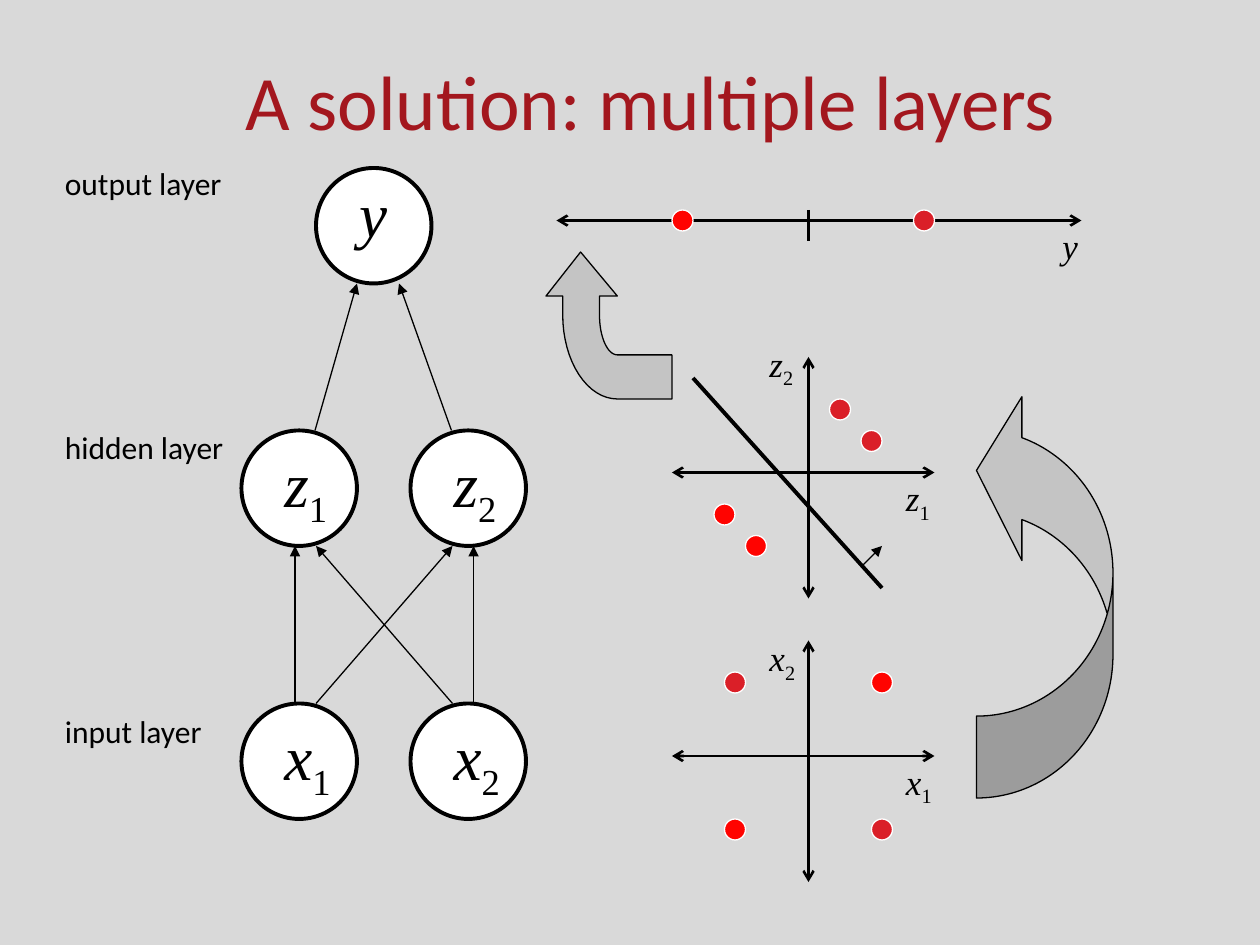
from dataclasses import dataclass
from math import cos, pi, sin

from lxml import etree
from pptx import Presentation
from pptx.dml.color import RGBColor
from pptx.enum import shapes, text
from pptx.oxml import ns
from pptx.util import Inches, Pt

BLACK = RGBColor(0, 0, 0)
WHITE = RGBColor(255, 255, 255)
BACK = RGBColor(0xD9, 0xD9, 0xD9)
TITLE = RGBColor(0xA3, 0x17, 0x1E)
GREY = RGBColor(0xC4, 0xC4, 0xC4)
RED = RGBColor(0xFF, 0x03, 0x00)
DARK = RGBColor(0xDA, 0x1F, 0x28)
SERIF, SANS = "Times New Roman", "Calibri"

COLS, ROWS = 120, 90  # grid of the slide
NODE, DOT = 11, 2  # diameters in grid cells

deck = Presentation()
deck.slide_width, deck.slide_height = Inches(10), Inches(7.5)
slide = deck.slides.add_slide(deck.slide_layouts[5])
slide.background.fill.solid()
slide.background.fill.fore_color.rgb = BACK


@dataclass
class Node:
    name: str
    sub: str
    col: float
    row: float
    drop: float = 0.7  # label below the node's top


@dataclass
class Plot:
    name: str
    row: float  # row of the horizontal axis
    lift: float  # top of the upper label, above that axis
    dots: list  # (column, row, colour) of each centre


def across(col: float) -> int:
    return round(deck.slide_width * col / COLS)


def down(row: float) -> int:
    return round(deck.slide_height * row / ROWS)


def box(col: float, row: float, wide: float, high: float) -> tuple:
    return across(col), down(row), across(wide), down(high)


def write(frame, words: str, *, sub: str = "", size: float = 20, font: str = SERIF,
          color: RGBColor = BLACK, italic: bool = False, align=None) -> None:
    para = frame.paragraphs[0]
    para.alignment = align
    for part, low in ((words, False), (sub, True)):
        if part:
            run = para.add_run()
            run.text = part
            run.font.size, run.font.name = Pt(size), font
            run.font.italic = italic and not low
            run.font.color.rgb = color
            if low:
                run.font._element.set("baseline", "-25000")


def label(place: tuple, words: str, wrap: bool = False, inset: float = 0.1, **look) -> None:
    frame = slide.shapes.add_textbox(*place).text_frame
    frame.word_wrap = wrap
    frame.margin_left = Inches(inset)
    write(frame, words, **look)


def paint(shape, fill: RGBColor, edge: RGBColor = BLACK, width: float = 0.75) -> None:
    shape.shadow.inherit = False
    shape.fill.solid()
    shape.fill.fore_color.rgb = fill
    shape.line.color.rgb = edge
    shape.line.width = Pt(width)


def line(start: tuple, end: tuple, width: float = 0.75, head: str = "", tail: str = "") -> None:
    link = slide.shapes.add_connector(
        shapes.MSO_CONNECTOR.STRAIGHT,
        across(start[0]), down(start[1]), across(end[0]), down(end[1]))
    link.line.color.rgb = BLACK
    link.line.width = Pt(width)
    for tag, kind in (("a:headEnd", head), ("a:tailEnd", tail)):
        if kind:
            etree.SubElement(link.line._get_or_add_ln(), ns.qn(tag), type=kind)
    etree.SubElement(link._element.spPr, ns.qn("a:effectLst"))


def disc(col: float, row: float, size: float, *look) -> None:
    paint(slide.shapes.add_shape(shapes.MSO_SHAPE.OVAL, *box(col, row, size, size)), *look)


def dot(col: float, row: float, color: RGBColor) -> None:
    disc(col - DOT / 2, row - DOT / 2, DOT, color, WHITE)


def arc(mid: tuple, wide: float, high: float) -> list:
    """Lower left quarter of an ellipse, from its left to its bottom."""
    turns = [pi / 2 * i / 16 for i in range(17)]
    return [(mid[0] - wide * cos(t), mid[1] + high * sin(t)) for t in turns]


# Title
title = slide.shapes.title
title.left, title.top, title.width, title.height = box(9, 2, 106, 15)
title.text_frame.vertical_anchor = text.MSO_ANCHOR.MIDDLE
write(title.text_frame, "A solution: multiple layers", size=44, font=SANS,
      color=TITLE, align=text.PP_ALIGN.CENTER)

# Network: links, then nodes with their labels
for start, end in [((30, 41), (34, 27)), ((43, 41), (38, 27)),
                   ((28.1, 67), (28.1, 52)), ((45.1, 67), (45.1, 52)),
                   ((30.1, 67), (43.1, 52)), ((43.1, 67), (30.1, 52))]:
    line(start, end, tail="triangle")
for node in [Node("y", "", 30.1, 16, 0),
             Node("z", "1", 23, 41), Node("z", "2", 39.1, 41),
             Node("x", "1", 23, 67), Node("x", "2", 39.1, 67)]:
    disc(node.col, node.row, NODE, WHITE, BLACK, 2.25)
    label(box(node.col - 3.1, node.row + node.drop, 13 if node.sub else NODE, 8.4),
          node.name, sub=node.sub, size=36, italic=True, inset=0.6)

# Layer names
for name, row in [("output", 15), ("hidden", 40.2), ("input", 67.2)]:
    label(box(5, row, 20, 10.8), f"{name} layer", wrap=True, size=18, font=SANS)

# Bent arrow up to the output axis
bend = (58.8, 30)
outer, inner = arc(bend, 5.2, 8), arc(bend, 1.7, 3.8)
edge = [(55.3, 24), (52, 28.2), (53.6, 28.2), *outer, (64, 38), (64, 33.8),
        *reversed(inner), (57.1, 28.2), (58.8, 28.2)]
points = [(across(c), down(r)) for c, r in edge]
path = slide.shapes.build_freeform(*points[0])
path.add_line_segments(points[1:], close=True)
paint(path.convert_to_shape(), GREY)

# Curved arrow from the input plot to the hidden plot
curve = slide.shapes.add_shape(shapes.MSO_SHAPE.CURVED_LEFT_ARROW, *box(93, 37, 13, 39))
for i, share in enumerate((0.6, 1.2, 0.333)):
    curve.adjustments[i] = share
curve.rotation = 180
curve._element.spPr.find(ns.qn("a:xfrm")).set("flipH", "1")
paint(curve, GREY)

# Plots of the hidden and input layers
MID = 77  # column of the vertical axes
for plot in [Plot("z", 45, 13, [(69, 49, RED), (72, 52, RED), (80, 39, DARK), (83, 42, DARK)]),
             Plot("x", 72, 12, [(84, 65, RED), (70, 65, DARK), (70, 79, RED), (84, 79, DARK)])]:
    line((MID, plot.row - 11), (MID, plot.row + 12), 1.5, "arrow", "arrow")
    line((64, plot.row), (89, plot.row), 1.5, "arrow", "arrow")
    label(box(85.1, plot.row - 0.2, 4.9, 5.2), plot.name, sub="1", italic=True)
    label(box(72.1, plot.row - plot.lift, 4.9, 5.2), plot.name, sub="2", italic=True)
    for spot in plot.dots:
        dot(*spot)

# Output axis
line((53, 21), (103, 21), 1.5, "arrow", "arrow")
line((MID, 20), (MID, 23), 1.5)
label(box(100, 20.8, 3.8, 5.2), "y", italic=True)
dot(65, 21, RED)
dot(88, 21, DARK)

# Decision boundary and its normal
line((66, 36), (84, 56), 2.25)
line((82, 54), (84, 52), tail="triangle")

deck.save("out.pptx")
